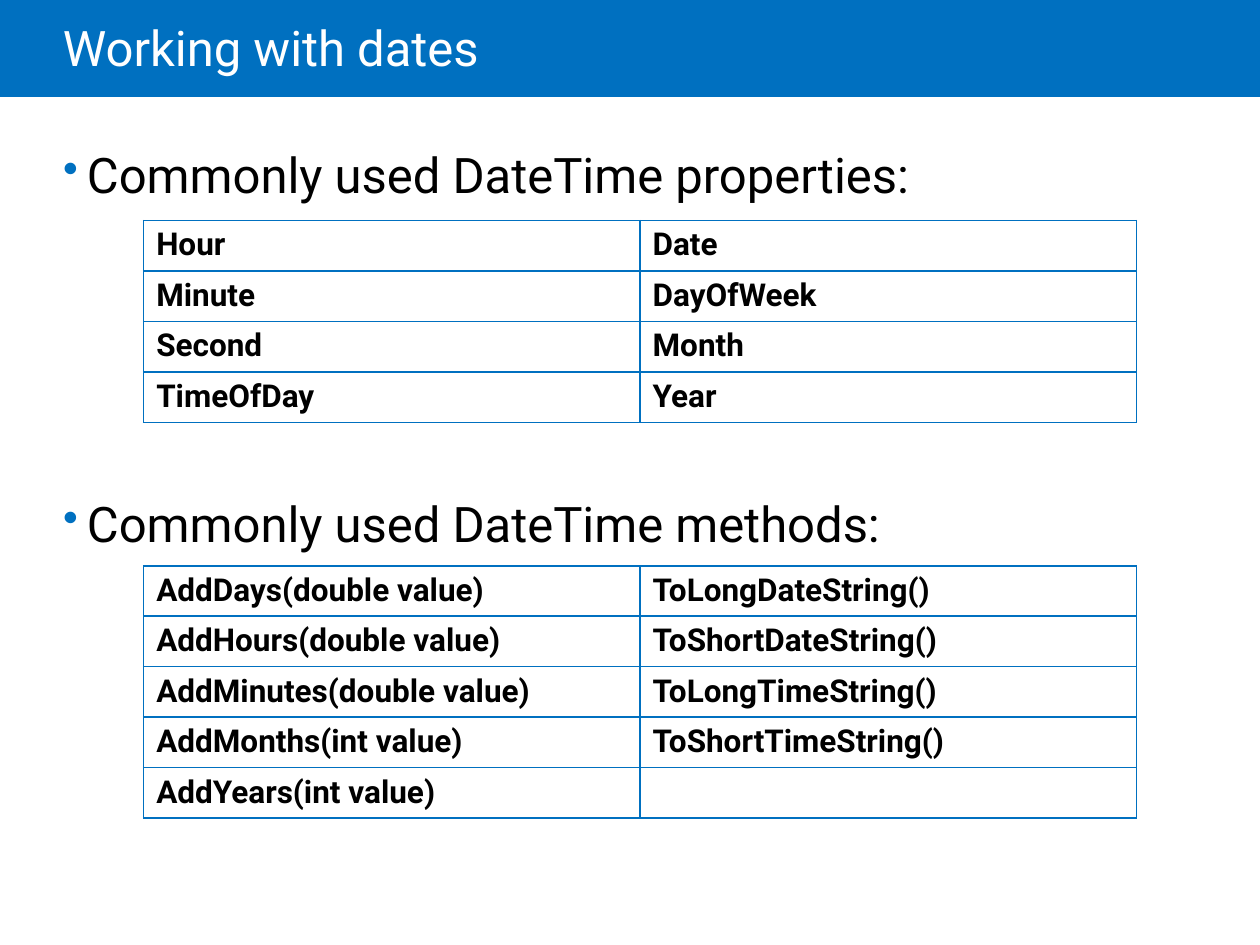
from lxml import etree
from pptx import Presentation
from pptx import util as u
from pptx.dml.color import RGBColor
from pptx.enum import shapes, text
from pptx.oxml import ns

BLUE, BLACK, WHITE = "0070C0", "000000", "FFFFFF"


def color(value):
    return RGBColor.from_string(value)


def write(para, words, size=28, fill=BLACK, bold=False):
    span = para.add_run()
    span.text = words
    span.font.name = "Roboto"
    span.font.size = u.Pt(size)
    span.font.bold = bold
    span.font.color.rgb = color(fill)


deck = Presentation()
deck.slide_width, deck.slide_height = u.Inches(10), u.Inches(7.5)
page = deck.slides.add_slide(deck.slide_layouts[6])

# Title band
band = page.shapes.add_shape(shapes.MSO_SHAPE.RECTANGLE, 0, 0, u.Inches(10), u.Inches(0.77))
band.shadow.inherit = False
band.fill.solid()
band.fill.fore_color.rgb = color(BLUE)
band.line.fill.background()

# Title
title = page.shapes.add_textbox(u.Inches(0.5), 0, u.Inches(8.5), u.Inches(0.81))
frame = title.text_frame
frame.word_wrap = True
frame.margin_left = 0
frame.vertical_anchor = text.MSO_ANCHOR.MIDDLE
frame.paragraphs[0].line_spacing = 0.85
write(frame.paragraphs[0], "Working with dates", fill=WHITE)

# Bulleted headings, spaced to leave room for the first table
body = page.shapes.add_textbox(u.Inches(0.5), u.Inches(1.15), u.Inches(8.88), u.Inches(5.6))
frame = body.text_frame
frame.word_wrap = True
frame.margin_left = frame.margin_right = frame.margin_top = frame.margin_bottom = 0
headings = ["Commonly used DateTime properties:", "Commonly used DateTime methods:"]
for index, heading in enumerate(headings):
    para = frame.add_paragraph() if index else frame.paragraphs[0]
    if index:
        para.space_before = u.Pt(165.5)
    layout = para._p.get_or_add_pPr()
    layout.set("marL", str(u.Inches(0.19)))
    layout.set("indent", str(-u.Inches(0.19)))
    bullet_color = etree.SubElement(layout, ns.qn("a:buClr"))
    etree.SubElement(bullet_color, ns.qn("a:srgbClr"), val=BLUE)
    etree.SubElement(layout, ns.qn("a:buSzPct"), val="90000")
    etree.SubElement(layout, ns.qn("a:buChar"), char="•")
    write(para, heading)

# Tables: top edge and rows
properties = [
    ("Hour", "Date"),
    ("Minute", "DayOfWeek"),
    ("Second", "Month"),
    ("TimeOfDay", "Year"),
]
methods = [
    ("AddDays(double value)", "ToLongDateString()"),
    ("AddHours(double value)", "ToShortDateString()"),
    ("AddMinutes(double value)", "ToLongTimeString()"),
    ("AddMonths(int value)", "ToShortTimeString()"),
    ("AddYears(int value)", ""),
]
for top, rows in [(1.75, properties), (4.49, methods)]:
    table = page.shapes.add_table(
        len(rows), 2, u.Inches(1.14), u.Inches(top),
        u.Inches(7.88), u.Inches(0.39 * len(rows))).table
    table.first_row = table.horz_banding = False
    for row, names in enumerate(rows):
        for column, name in enumerate(names):
            cell = table.cell(row, column)
            write(cell.text_frame.paragraphs[0], name, size=18, bold=True)
            # Borders come before the fill in the cell's properties
            borders = cell._tc.get_or_add_tcPr()
            for side in ("lnL", "lnR", "lnT", "lnB"):
                edge = etree.SubElement(borders, ns.qn("a:" + side), w=str(u.Pt(1)))
                fill = etree.SubElement(edge, ns.qn("a:solidFill"))
                etree.SubElement(fill, ns.qn("a:srgbClr"), val=BLUE)
            cell.fill.background()

deck.save("out.pptx")
